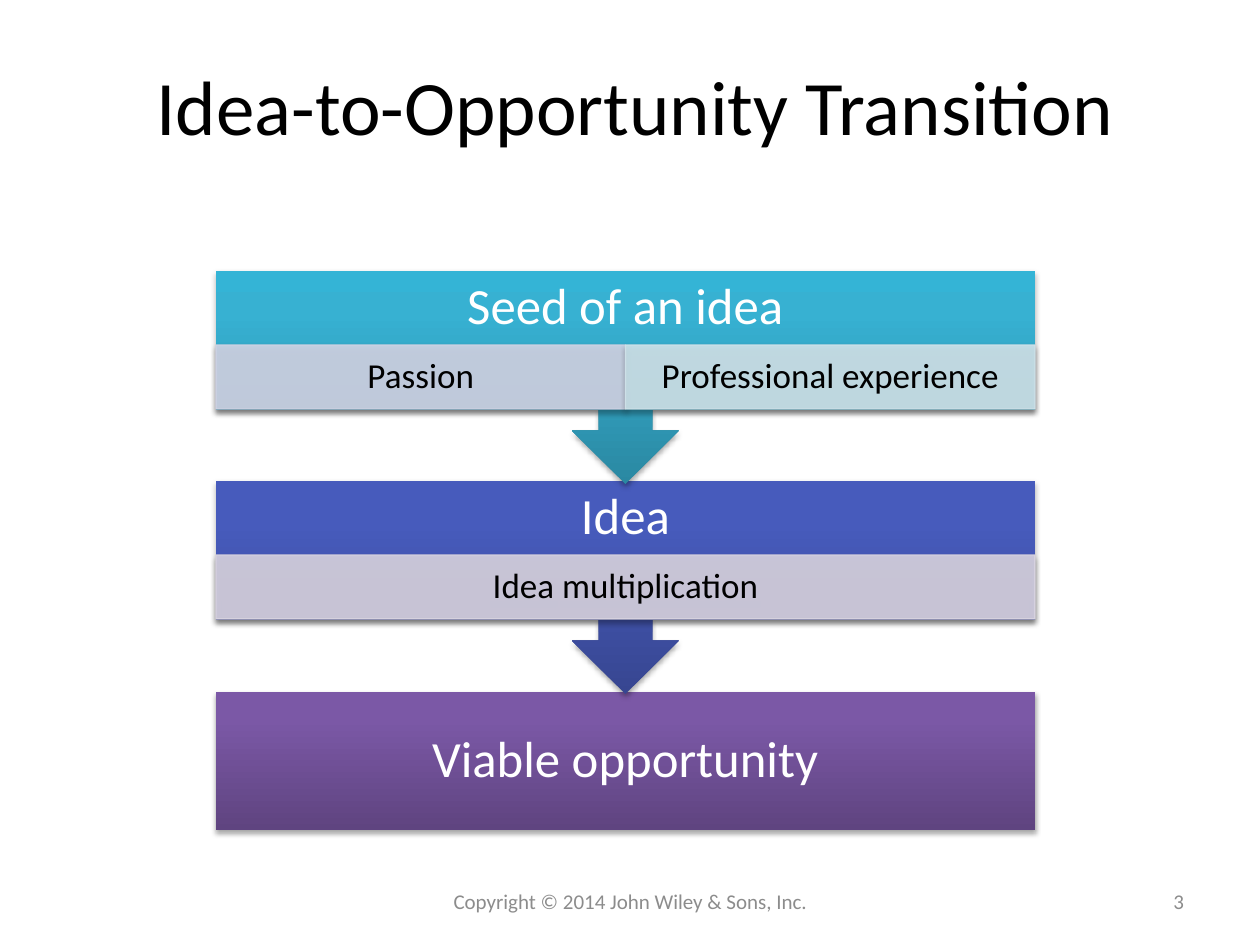
from lxml import etree
from pptx import Presentation
from pptx.dml.color import RGBColor
from pptx.enum.shapes import MSO_SHAPE
from pptx.enum.text import MSO_ANCHOR, PP_ALIGN
from pptx.oxml.ns import qn
from pptx.util import Emu, Inches, Pt

RECT, CALLOUT = MSO_SHAPE.RECTANGLE, MSO_SHAPE.DOWN_ARROW_CALLOUT
CENTER, RIGHT = PP_ALIGN.CENTER, PP_ALIGN.RIGHT
MIDDLE = MSO_ANCHOR.MIDDLE
FONT = "Calibri"
EMU_PER_PX = 914400 / 126
HEADER_H, DETAIL_H, BOX_H, CALLOUT_H = 74, 64, 138, 213

COLORS = {
    "black": "000000", "white": "FFFFFF", "gray": "8C8C8C",
    "passion": "D1D4E5", "experience": "D0E3EA", "multiplication": "D8D3E0",
}
# Gradient colours from bottom to top, at 0, 80 and 100 %
GRADIENTS = {
    "teal": ("2A88A2", "37B1D2", "34B4D6"),
    "blue": ("374691", "475BBC", "455ABF"),
    "purple": ("5F4480", "7B58A6", "7C57A8"),
}


def px(n):
    return Emu(round(n * EMU_PER_PX))


def add_color(parent, value, alpha=None):
    clr = etree.SubElement(parent, qn("a:srgbClr"), val=value)
    if alpha is not None:
        etree.SubElement(clr, qn("a:alpha"), val=str(alpha * 1000))


def write(s, text, size=20, color="black", align=CENTER, spacing=None,
          insets=(13, 6, 13, 6)):
    """Set one paragraph; insets are left, top, right, bottom in px."""
    tf = s.text_frame
    tf.word_wrap = True
    tf.vertical_anchor = MIDDLE
    tf.margin_left, tf.margin_top, tf.margin_right, tf.margin_bottom = map(px, insets)
    p = tf.paragraphs[0]
    p.alignment = align
    if spacing:
        p.line_spacing = spacing
    r = p.add_run()
    r.text = text
    r.font.name, r.font.size = FONT, Pt(size)
    r.font.color.rgb = RGBColor.from_string(COLORS[color])


def add_label(slide, box, text, **fmt):
    write(slide.shapes.add_textbox(*map(px, box)), text, **fmt)


def add_shadowed(slide, kind, box):
    s = slide.shapes.add_shape(kind, *map(px, box))
    s.shadow.inherit = False
    effects = s._element.spPr.find(qn("a:effectLst"))
    shadow = etree.SubElement(effects, qn("a:outerShdw"), blurRad=str(Pt(3.1)),
                              dist=str(Pt(1.8)), dir="5400000", rotWithShape="0")
    add_color(shadow, COLORS["black"], 35)
    return s


def add_gradient_box(slide, kind, box, gradient):
    s = add_shadowed(slide, kind, box)
    s.fill.gradient()
    s.fill.gradient_angle = 90
    stops = s._element.spPr.find(".//" + qn("a:gsLst"))
    for gs in list(stops):
        stops.remove(gs)
    for pos, value in zip((0, 80, 100), GRADIENTS[gradient]):
        add_color(etree.SubElement(stops, qn("a:gs"), pos=str(pos * 1000)), value)
    s.line.fill.background()
    return s


def add_detail(slide, box, text, color):
    s = add_shadowed(slide, RECT, box)
    s.line.width = Pt(0.75)
    for fill in (s.fill, s.line.fill):
        fill.solid()
        fill.fore_color.rgb = RGBColor.from_string(COLORS[color])
    for clr in s._element.spPr.findall(".//" + qn("a:solidFill") + "/" + qn("a:srgbClr")):
        etree.SubElement(clr, qn("a:alpha"), val="90000")
    write(s, text, spacing=0.9, insets=(20, 4, 20, 4))


def add_stage(slide, box, title, gradient, details):
    """Place a stage; one with details gets an arrow and a row of equal cells."""
    left, top, width, _ = box
    s = add_gradient_box(slide, CALLOUT if details else RECT, box, gradient)
    bottom = DETAIL_H if details else 0
    write(s, title, size=29, color="white", spacing=0.9, insets=(29, 0, 29, bottom))
    for i, (text, color) in enumerate(details):
        cell_w = width / len(details)
        cell = (left + i * cell_w, top + HEADER_H, cell_w, DETAIL_H)
        add_detail(slide, cell, text, color)


def add_process(slide, left, width):
    stages = [
        (692, BOX_H, "Viable opportunity", "purple", []),
        (481, CALLOUT_H, "Idea", "blue", [("Idea multiplication", "multiplication")]),
        (271, CALLOUT_H, "Seed of an idea", "teal",
         [("Passion", "passion"), ("Professional experience", "experience")]),
    ]
    for top, height, title, gradient, details in stages:
        add_stage(slide, (left, top, width, height), title, gradient, details)


def add_footer(slide, top, height):
    add_label(slide, (431, top, 399, height),
              "Copyright © 2014 John Wiley & Sons, Inc.", size=12, color="gray")
    add_label(slide, (903, top, 294, height), "3", size=12, color="gray", align=RIGHT)


def main():
    prs = Presentation()
    prs.slide_width, prs.slide_height = Inches(10), Inches(7.5)
    slide = prs.slides.add_slide(prs.slide_layouts[6])
    add_label(slide, (63, 37, 1145, 136), "Idea-to-Opportunity Transition", size=44)
    add_process(slide, 216, 819)
    add_footer(slide, 876, 50)
    prs.save("out.pptx")


if __name__ == "__main__":
    main()
